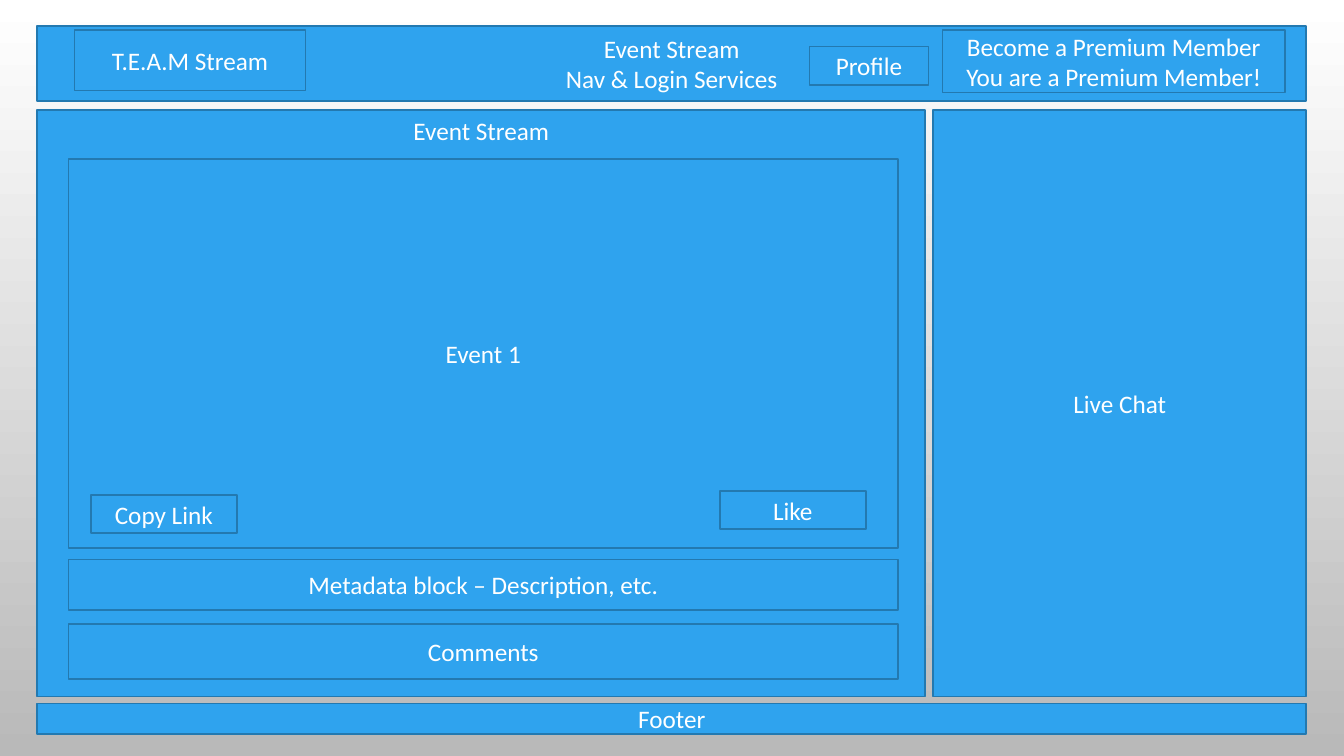
from dataclasses import dataclass

from pptx import Presentation
from pptx.dml.color import RGBColor
from pptx.enum.shapes import MSO_SHAPE
from pptx.enum.text import MSO_ANCHOR, PP_ALIGN
from pptx.slide import Slide
from pptx.util import Cm, Pt

WHITE = RGBColor(0xFF, 0xFF, 0xFF)
GREY = RGBColor(0xB9, 0xB9, 0xB9)
BLUE = RGBColor(0x2F, 0xA3, 0xEE)
DARK_BLUE = RGBColor(0x23, 0x79, 0xB0)

# Shared edges and sizes of the page layout, in centimetres
PAGE_LEFT, PAGE_WIDTH = 0.94, 31.98
MAIN_TOP, MAIN_HEIGHT = 2.77, 14.78
CHAT_LEFT = 23.52
CHAT_WIDTH = PAGE_LEFT + PAGE_WIDTH - CHAT_LEFT
CONTENT_LEFT, CONTENT_WIDTH = 1.73, 20.9
HEADER_BOX_TOP = 0.76
BUTTON_WIDTH, BUTTON_HEIGHT = 3.68, 0.97


@dataclass(frozen=True)
class Block:
    """A labelled wireframe rectangle, measured in centimetres."""

    text: str
    left: float
    top: float
    width: float
    height: float
    anchor: MSO_ANCHOR = MSO_ANCHOR.MIDDLE


BLOCKS = [
    Block("Event Stream\nNav & Login Services", PAGE_LEFT, 0.66, PAGE_WIDTH, 1.88),
    Block("Event Stream", PAGE_LEFT, MAIN_TOP, 22.38, MAIN_HEIGHT, MSO_ANCHOR.TOP),
    Block("Live Chat", CHAT_LEFT, MAIN_TOP, CHAT_WIDTH, MAIN_HEIGHT),
    Block("Event 1", CONTENT_LEFT, 4.01, CONTENT_WIDTH, 9.8),
    Block("Footer", PAGE_LEFT, 17.73, PAGE_WIDTH, 0.76),
    Block("Copy Link", 2.29, 12.47, BUTTON_WIDTH, BUTTON_HEIGHT),
    Block("Like", 18.14, 12.37, BUTTON_WIDTH, BUTTON_HEIGHT),
    Block("Metadata block – Description, etc.", CONTENT_LEFT, 14.1, CONTENT_WIDTH, 1.27),
    Block("Comments", CONTENT_LEFT, 15.72, CONTENT_WIDTH, 1.4),
    Block("T.E.A.M Stream", 1.88, HEADER_BOX_TOP, 5.82, 1.52),
    Block("Become a Premium Member\nYou are a Premium Member!",
          23.75, HEADER_BOX_TOP, 8.64, 1.57),
    Block("Profile", 20.4, 1.17, 3, BUTTON_HEIGHT),
]


def paint_background(slide: Slide) -> None:
    """Fill the slide with a gradient from white down to grey."""
    fill = slide.background.fill
    fill.gradient()
    fill.gradient_angle = 270
    for stop, color in zip(fill.gradient_stops, (WHITE, GREY)):
        stop.color.rgb = color


def draw_block(slide: Slide, block: Block) -> None:
    """Draw one rectangle with its centred label."""
    shape = slide.shapes.add_shape(
        MSO_SHAPE.RECTANGLE,
        Cm(block.left), Cm(block.top), Cm(block.width), Cm(block.height),
    )
    shape.shadow.inherit = False
    shape.fill.solid()
    shape.fill.fore_color.rgb = BLUE
    shape.line.color.rgb = DARK_BLUE
    shape.line.width = Pt(1.25)
    text_frame = shape.text_frame
    text_frame.word_wrap = True
    text_frame.vertical_anchor = block.anchor
    text_frame.text = block.text
    for paragraph in text_frame.paragraphs:
        paragraph.alignment = PP_ALIGN.CENTER
        for run in paragraph.runs:
            run.font.name = "Calibri"
            run.font.size = Pt(18)
            run.font.color.rgb = WHITE


def main() -> None:
    """Build the wireframe slide and save it."""
    presentation = Presentation()
    presentation.slide_width = Cm(33.87)
    presentation.slide_height = Cm(19.05)
    slide = presentation.slides.add_slide(presentation.slide_layouts[6])
    paint_background(slide)
    for block in BLOCKS:
        draw_block(slide, block)
    presentation.save("out.pptx")


main()
